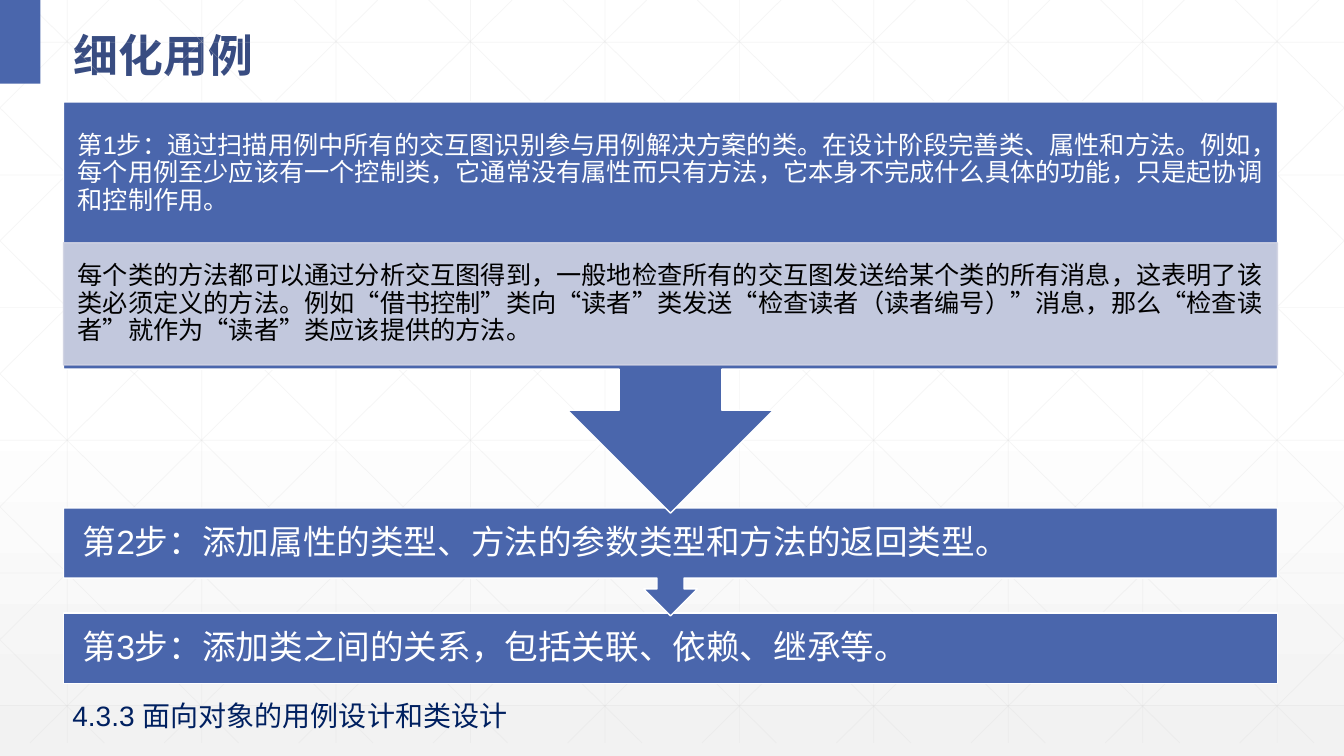
from dataclasses import dataclass
from typing import Optional

from lxml import etree
from pptx import Presentation
from pptx import util as u
from pptx.dml.color import RGBColor
from pptx.enum import lang, shapes, text
from pptx.oxml.ns import qn

BLUE = RGBColor(0x4A, 0x66, 0xAC)
NAVY = RGBColor(0x38, 0x4C, 0x81)
INK = RGBColor(0x00, 0x20, 0x60)
PALE = RGBColor(0xD0, 0xD3, 0xE3)
GRID = RGBColor(0xD9, 0xD9, 0xD9)
SMOKE = RGBColor(0xF2, 0xF2, 0xF2)
WHITE = RGBColor(0xFF, 0xFF, 0xFF)
BLACK = RGBColor(0, 0, 0)

WIDE, HIGH = 13.33, 7.5
LATIN, HAN = "Arial", "Noto Sans CJK SC"
RECT = shapes.MSO_SHAPE.RECTANGLE
CALL = shapes.MSO_SHAPE.UP_ARROW_CALLOUT
LEFT, SPAN = 0.63, 12.04


@dataclass
class Step:
    words: str
    top: float
    high: float
    size: int
    pad: tuple[float, float]
    body: Optional[float] = None  # height of the text part of a callout
    fill: RGBColor = BLUE
    line: RGBColor = WHITE
    ink: RGBColor = WHITE
    alpha: int = 100


STEPS = [
    Step("第3步：添加类之间的关系，包括关联、依赖、继承等。",
         6.08, 0.7, 24, (0.19, 0.19)),
    Step("第2步：添加属性的类型、方法的参数类型和方法的返回类型。",
         5.04, 1.07, 24, (0.19, 0.19), body=0.7),
    Step("第1步：通过扫描用例中所有的交互图识别参与用例解决方案的类。"
         "在设计阶段完善类、属性和方法。例如，每个用例至少应该有一个控制类，"
         "它通常没有属性而只有方法，它本身不完成什么具体的功能，"
         "只是起协调和控制作用。",
         1.01, 4.08, 18, (0.14, 0.14), body=1.43),
    Step("每个类的方法都可以通过分析交互图得到，一般地检查所有的交互图"
         "发送给某个类的所有消息，这表明了该类必须定义的方法。"
         "例如“借书控制”类向“读者”类发送“检查读者（读者编号）”消息，"
         "那么“检查读者”就作为“读者”类应该提供的方法。",
         2.41, 1.21, 18, (0.14, 0.03), fill=PALE, line=PALE, ink=BLACK, alpha=90),
]


def fade(props, alpha: int) -> None:
    for tone in props.iter(qn("a:srgbClr")):
        etree.SubElement(tone, qn("a:alpha")).set("val", str(alpha * 1000))


def write(shape, words: str, *, size: int, ink: RGBColor, face: str = LATIN,
          bold: bool = False, space: float = 1.0, pad=(0.1, 0.05),
          anchor=text.MSO_ANCHOR.MIDDLE, fit=text.MSO_AUTO_SIZE.NONE) -> None:
    frame = shape.text_frame
    frame.word_wrap, frame.auto_size = True, fit
    frame.vertical_anchor = anchor
    frame.margin_left = frame.margin_right = u.Inches(pad[0])
    frame.margin_top = frame.margin_bottom = u.Inches(pad[1])
    para = frame.paragraphs[0]
    para.alignment, para.line_spacing = text.PP_ALIGN.LEFT, space
    run = para.add_run()
    run.text = words
    font = run.font
    font.size, font.bold, font.name = u.Pt(size), bold, face
    font.color.rgb = ink
    font.language_id = lang.MSO_LANGUAGE_ID.SIMPLIFIED_CHINESE
    east = etree.Element(qn("a:ea"))
    east.set("typeface", HAN)
    run._r.get_or_add_rPr().find(qn("a:latin")).addnext(east)


def rule(slide, x1: float, y1: float, x2: float, y2: float) -> None:
    line = slide.shapes.add_connector(
        shapes.MSO_CONNECTOR.STRAIGHT, *map(u.Inches, (x1, y1, x2, y2)))
    line.line.width = u.Pt(0.5)
    line.line.color.rgb = GRID
    props = line._element.spPr
    fade(props, 25)
    etree.SubElement(props, qn("a:effectLst"))


def block(slide, kind, at: tuple, fill: RGBColor,
          line: Optional[RGBColor] = None, alpha: int = 100):
    shape = slide.shapes.add_shape(kind, *map(u.Inches, at))
    shape.shadow.inherit = False
    shape.fill.solid()
    shape.fill.fore_color.rgb = fill
    if line is None:
        shape.line.fill.background()
    else:
        shape.line.color.rgb = line
        shape.line.width = u.Pt(1)
    if alpha < 100:
        fade(shape._element.spPr, alpha)
    return shape


def label(slide, *at: float):
    return slide.shapes.add_textbox(*map(u.Inches, at))


def lattice(slide) -> None:
    gap, base, run = 4 / 3, 7.37, 7.45
    for col in range(10):
        x = gap * (col + 0.5)
        rule(slide, x, 0, x, base)
    for row in range(6):
        y = 0.42 + 1.316 * row
        rule(slide, 0, y, WIDE, y)
    # Diagonals cut at the slide's edges, each with its mirror
    for col in range(-5, 10):
        start = 0.25 + gap * col
        x1, x2 = max(0, start), min(WIDE, start + run)
        y1, y2 = ((x - start) * base / run for x in (x1, x2))
        rule(slide, x1, y1, x2, y2)
        rule(slide, WIDE - x1, y1, WIDE - x2, y2)


def draw(slide, step: Step) -> None:
    kind = CALL if step.body else RECT
    shape = block(slide, kind, (LEFT, step.top, SPAN, step.high),
                  step.fill, step.line, step.alpha)
    if step.body:
        shape.rotation = 180
        shape = label(slide, LEFT, step.top, SPAN, step.body)
    write(shape, step.words, size=step.size, ink=step.ink,
          space=0.9, pad=step.pad)


def main() -> None:
    deck = Presentation()
    deck.slide_width, deck.slide_height = u.Inches(WIDE), u.Inches(HIGH)
    slide = deck.slides.add_slide(deck.slide_layouts[5])

    # Backdrop
    back = slide.background.fill
    back.gradient()
    back.gradient_angle = 270
    for stop, spot, tone in zip(back.gradient_stops, (0.53, 1), (WHITE, SMOKE)):
        stop.position, stop.color.rgb = spot, tone
    lattice(slide)
    block(slide, RECT, (0, 0, 0.4, 0.83), BLUE)

    # Title
    title = slide.shapes.title
    title.left, title.top = u.Inches(LEFT), u.Inches(0.1)
    title.width, title.height = u.Inches(12.42), u.Inches(0.73)
    write(title, "细化用例", size=32, ink=NAVY, face=HAN, bold=True, space=1.3)

    # Steps, from the last to the first
    for step in STEPS:
        draw(slide, step)

    # Section name
    write(label(slide, 0.62, 6.88, 6.04, 0.44), "4.3.3 面向对象的用例设计和类设计",
          size=20, ink=INK, anchor=text.MSO_ANCHOR.TOP,
          fit=text.MSO_AUTO_SIZE.SHAPE_TO_FIT_TEXT)
    deck.save("out.pptx")


if __name__ == "__main__":
    main()
